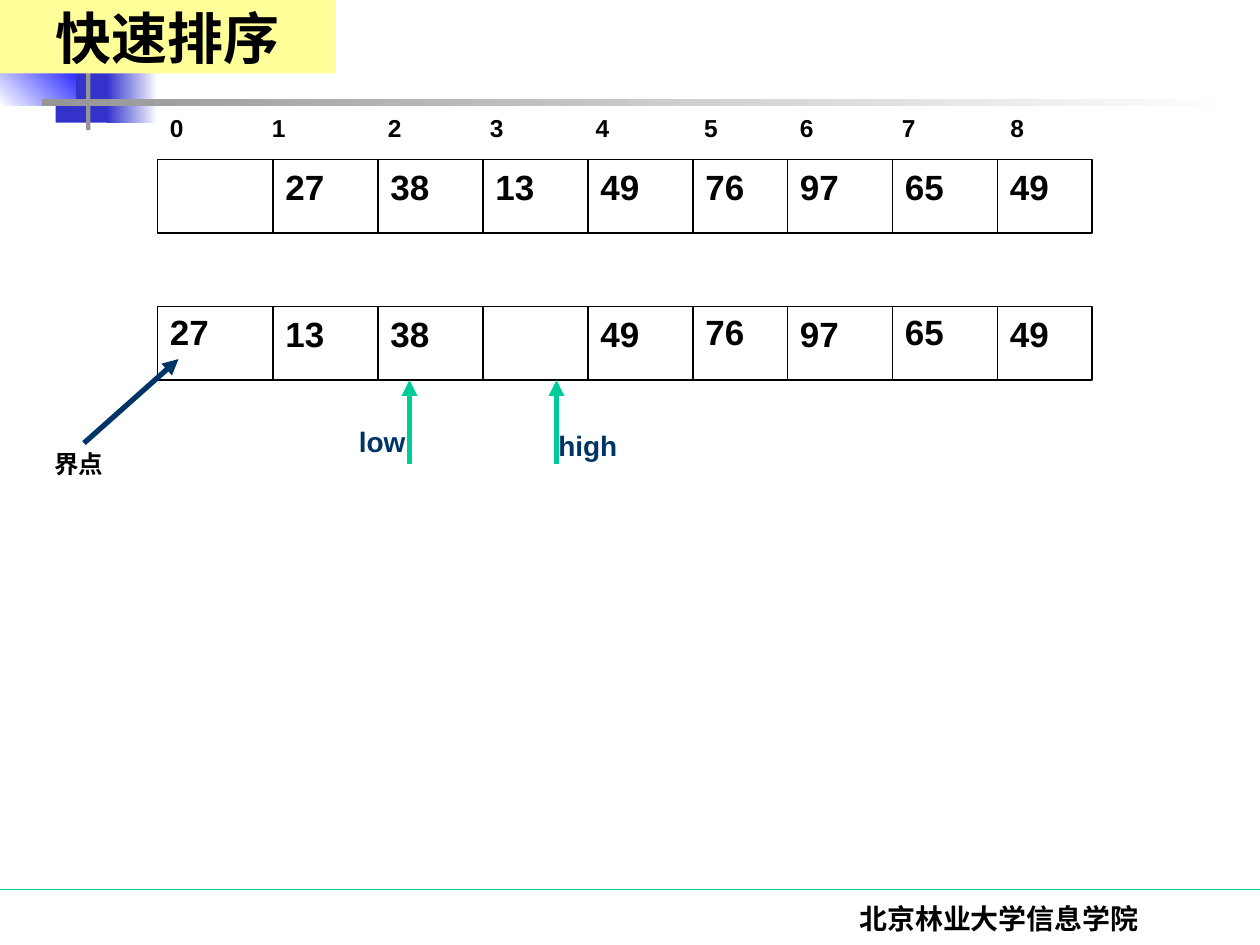
from lxml.etree import SubElement
from pptx import Presentation
from pptx.dml.color import RGBColor
from pptx.enum.shapes import MSO_CONNECTOR, MSO_SHAPE
from pptx.enum.text import MSO_ANCHOR, PP_ALIGN
from pptx.oxml.ns import qn
from pptx.util import Emu, Inches, Pt

COLS, ROWS = 120, 90
EDGES = [15, 26, 36, 46, 56, 66, 75, 85, 95, 104]
TALL = 7


def hue(code):
    """Turn a hex string into a colour."""
    return RGBColor.from_string(code)


class Deck:
    """Hold the style and the current slide, measured on a 120 by 90 grid."""

    def __init__(self):
        """Open a blank slide with its background."""
        self.show = Presentation()
        self.show.slide_width, self.show.slide_height = Inches(10), Inches(7.5)
        self.font, self.ink, self.back = "Arial", "000000", "FEFFFF"
        self.slide = self.show.slides.add_slide(self.show.slide_layouts[6])
        fill = self.slide.background.fill
        fill.solid()
        fill.fore_color.rgb = hue(self.back)

    def grid(self, *spots):
        """Turn alternating columns and rows into lengths."""
        units = (self.show.slide_width / COLS, self.show.slide_height / ROWS)
        return [Emu(round(spot * units[i % 2])) for i, spot in enumerate(spots)]

    def box(self, spot, fill, edge=None):
        """Draw a plain rectangle."""
        shape = self.slide.shapes.add_shape(MSO_SHAPE.RECTANGLE, *self.grid(*spot))
        shape.shadow.inherit = False
        shape.fill.solid()
        shape.fill.fore_color.rgb = hue(fill)
        if edge:
            shape.line.color.rgb = hue(edge)
            shape.line.width = Pt(0.75)
        else:
            shape.line.fill.background()
        return shape

    def fade(self, spot, start, end, angle=0):
        """Draw a rectangle that blends two colours."""
        fill = self.box(spot, start).fill
        fill.gradient()
        fill.gradient_angle = angle
        for stop, code in zip(fill.gradient_stops, (start, end)):
            stop.color.rgb = hue(code)

    def line(self, spot, code, width=0.75, head=False):
        """Draw a straight line, with an arrowhead at its end if asked."""
        link = self.slide.shapes.add_connector(MSO_CONNECTOR.STRAIGHT, *self.grid(*spot))
        link.line.color.rgb = hue(code)
        link.line.width = Pt(width)
        props = link._element.spPr
        if head:
            SubElement(props.find(qn("a:ln")), qn("a:tailEnd"), type="triangle")
        SubElement(props, qn("a:effectLst"))

    def label(self, shape, words, size, font=None, code=None, align=PP_ALIGN.LEFT, tabs=()):
        """Set one bold paragraph in a shape."""
        frame = shape.text_frame
        frame.word_wrap = True
        frame.text = words
        para = frame.paragraphs[0]
        para.alignment = align
        if tabs:
            stops = SubElement(para._p.get_or_add_pPr(), qn("a:tabLst"))
            for tab in tabs:
                SubElement(stops, qn("a:tab"), pos=str(Inches(tab)), algn="l")
        for run in para.runs:
            run.font.size, run.font.bold = Pt(size), True
            run.font.name = font or self.font
            run.font.color.rgb = hue(code or self.ink)

    def text(self, spot, words, size, **look):
        """Add a text box."""
        self.label(self.slide.shapes.add_textbox(*self.grid(*spot)), words, size, **look)

    def array(self, top, items, raised=()):
        """Draw an array with its cell walls and values."""
        self.box((EDGES[0], top, EDGES[-1] - EDGES[0], TALL), "FFFFFF", self.ink)
        for col in EDGES[1:-1]:
            self.line((col, top, col, top + TALL), self.ink)
        for i, (col, item) in enumerate(zip(EDGES, items)):
            if item:
                lift = 0.2 if i in raised else 0
                self.text((col, top - lift, 8, 5.3), item, 20)

    def mark(self, col, spot, words):
        """Point at a cell from below, with a label."""
        self.line((col, 44.2, col, 36.2), "00CC99", 3, head=True)
        self.text((*spot, 11, 4.4), words, 16, code="003366")


def main():
    """Build the slide."""
    deck = Deck()
    deck.line((0, 84.7, COLS, 84.7), "00CC99")
    deck.box((5.3, 5.5, 5.5, 6.2), "3333CC")
    deck.fade((10.2, 5.5, 4.8, 6.2), "3333CC", deck.back)
    deck.fade((0, 4.6, 7.2, 5.5), deck.back, "0000FF", 45)
    deck.box((8.2, 0, 0.4, 12.4), "969696")
    deck.fade((4, 9.4, 114.1, 0.7), "969696", deck.back)
    deck.text((70.3, 85.3, 49.7, 6), "北京林业大学信息学院", 16,
              font="Times New Roman", align=PP_ALIGN.CENTER)

    deck.array(29.2, ["27", "13", "38", "", "49", "76", "97", "65", "49"], (0, 5, 7))
    deck.array(15.2, ["", "27", "38", "13", "49", "76", "97", "65", "49"])
    deck.text((15, 10.2, 89, 4.1), "\t".join(map(str, range(9))), 14,
              tabs=(0.81, 1.73, 2.54, 3.38, 4.24, 5, 5.81, 6.67))

    deck.mark(53, (52, 40.2), "high")
    deck.mark(39, (33, 39.8), "low")
    deck.text((4, 42.2, 10, 4.1), "界点", 14)
    deck.line((8, 42.2, 17, 34.2), "003366", 3, head=True)

    title = deck.box((0, 0, 32, 7), "FFFF99")
    title.text_frame.vertical_anchor = MSO_ANCHOR.MIDDLE
    deck.label(title, "快速排序", 32, font="Times New Roman", align=PP_ALIGN.CENTER)
    deck.show.save("out.pptx")


if __name__ == "__main__":
    main()
